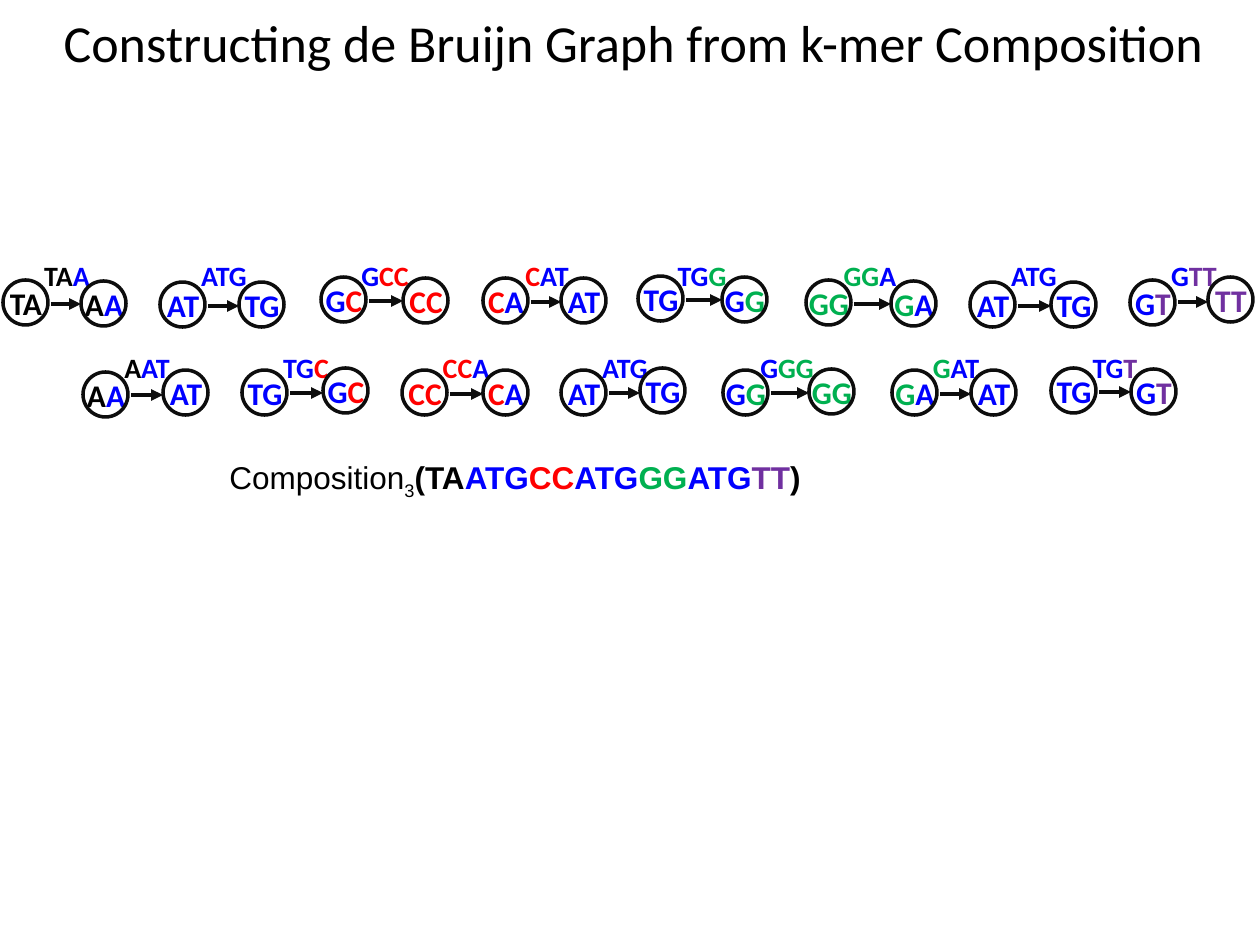
from itertools import groupby

from lxml import etree
from pptx import Presentation
from pptx.dml.color import RGBColor
from pptx.enum.shapes import MSO_CONNECTOR as CONNECTOR, MSO_SHAPE as SHAPE
from pptx.enum.text import MSO_ANCHOR as ANCHOR, MSO_AUTO_SIZE as AUTO_SIZE, PP_ALIGN as ALIGN
from pptx.oxml.ns import qn
from pptx.util import Emu, Pt

PX = 914400 // 126

BLACK = RGBColor(0x00, 0x00, 0x00)
INK = RGBColor(0x0D, 0x0D, 0x0D)
BLUE = RGBColor(0x00, 0x00, 0xFF)
RED = RGBColor(0xFF, 0x00, 0x00)
GREEN = RGBColor(0x00, 0xB0, 0x50)
PURPLE = RGBColor(0x70, 0x30, 0xA0)

# The genome, coloured by segment; every k-mer is a slice of it
SEGMENTS = [("TA", BLACK), ("ATG", BLUE), ("CC", RED), ("ATG", BLUE),
            ("GG", GREEN), ("ATG", BLUE), ("TT", PURPLE)]
genome = [(base, colour) for segment, colour in SEGMENTS for base in segment]
K = 3

# Left and top of the prefix node, then of the suffix node, for each k-mer
NODE_PAIRS = [
    (3, 280, 81, 281), (83, 372, 163, 370), (160, 282, 239, 282),
    (242, 370, 323, 368), (321, 277, 403, 278), (402, 370, 483, 370),
    (483, 278, 561, 278), (561, 370, 640, 368), (638, 276, 722, 277),
    (723, 370, 809, 369), (806, 280, 891, 281), (892, 370, 971, 370),
    (970, 282, 1051, 282), (1051, 368, 1131, 369), (1130, 280, 1208, 277),
]
NODE = 45
LABEL_TOPS = (252, 344)


def add_bases(paragraph, bases):
    for colour, group in groupby(bases, key=lambda item: item[1]):
        run = paragraph.add_run()
        run.text = "".join(base for base, _ in group)
        run.font.color.rgb = colour


def add_label(bases, centre, top, width, height, size):
    label = slide.shapes.add_textbox(Emu((centre - width // 2) * PX), Emu(top * PX),
                                     Emu(width * PX), Emu(height * PX))
    label.text_frame.word_wrap = False
    label.text_frame.auto_size = AUTO_SIZE.SHAPE_TO_FIT_TEXT
    line = label.text_frame.paragraphs[0]
    line.alignment = ALIGN.CENTER
    add_bases(line, bases)
    line.font.name = "Calibri"
    line.font.size = Pt(size)
    line.font.bold = True


deck = Presentation()
deck.slide_width = Emu(1260 * PX)
deck.slide_height = Emu(945 * PX)
slide = deck.slides.add_slide(deck.slide_layouts[5])

# Title
title = slide.shapes.title
title.left, title.top = Emu(30 * PX), Emu(-11 * PX)
title.width, title.height = Emu(1208 * PX), Emu(105 * PX)
title.text_frame.text = "Constructing de Bruijn Graph from k-mer Composition"
title.text_frame.auto_size = AUTO_SIZE.NONE
title.text_frame.vertical_anchor = ANCHOR.MIDDLE
heading = title.text_frame.paragraphs[0]
heading.alignment = ALIGN.CENTER
heading.font.name = "Calibri"
heading.font.size = Pt(29.7)
heading.font.color.rgb = BLACK

# One edge per k-mer, from its prefix node to its suffix node
for i, (prefix_x, prefix_y, suffix_x, suffix_y) in enumerate(NODE_PAIRS):
    kmer = genome[i:i + K]
    add_label(kmer, prefix_x + 64, LABEL_TOPS[i % 2], 84, 47, 16)

    edge_y = Emu(((prefix_y + suffix_y) // 2 + 24) * PX)
    edge = slide.shapes.add_connector(CONNECTOR.STRAIGHT, Emu((prefix_x + 48) * PX), edge_y,
                                      Emu(suffix_x * PX), edge_y)
    edge.line.color.rgb = INK
    edge.line.width = Pt(2.25)
    etree.SubElement(edge.line._get_or_add_ln(), qn("a:tailEnd"), type="triangle")
    etree.SubElement(edge._element.spPr, qn("a:effectLst"))

    for bases, x, y in ((kmer[:-1], prefix_x, prefix_y), (kmer[1:], suffix_x, suffix_y)):
        add_label(bases, x + NODE // 2 + 1, y - 2, 72, 50, 18)
        node = slide.shapes.add_shape(SHAPE.OVAL, Emu(x * PX), Emu(y * PX),
                                      Emu(NODE * PX), Emu(NODE * PX))
        node.shadow.inherit = False
        node.fill.background()
        node.line.color.rgb = INK
        node.line.width = Pt(2)

# Composition formula
formula = slide.shapes.add_textbox(Emu(217 * PX), Emu(452 * PX), Emu(840 * PX), Emu(63 * PX))
formula.text_frame.word_wrap = True
formula.text_frame.auto_size = AUTO_SIZE.SHAPE_TO_FIT_TEXT
composition = formula.text_frame.paragraphs[0]
add_bases(composition, [("Composition", BLACK)])
subscript = composition.add_run()
subscript.text = str(K)
subscript.font.color.rgb = BLACK
subscript._r.get_or_add_rPr().set("baseline", "-25000")
add_bases(composition, [("(", BLACK), *genome, (")", BLACK)])
for run in composition.runs[2:]:
    run.font.bold = True
composition.font.name = "Arial"
composition.font.size = Pt(18)

deck.save("out.pptx")
